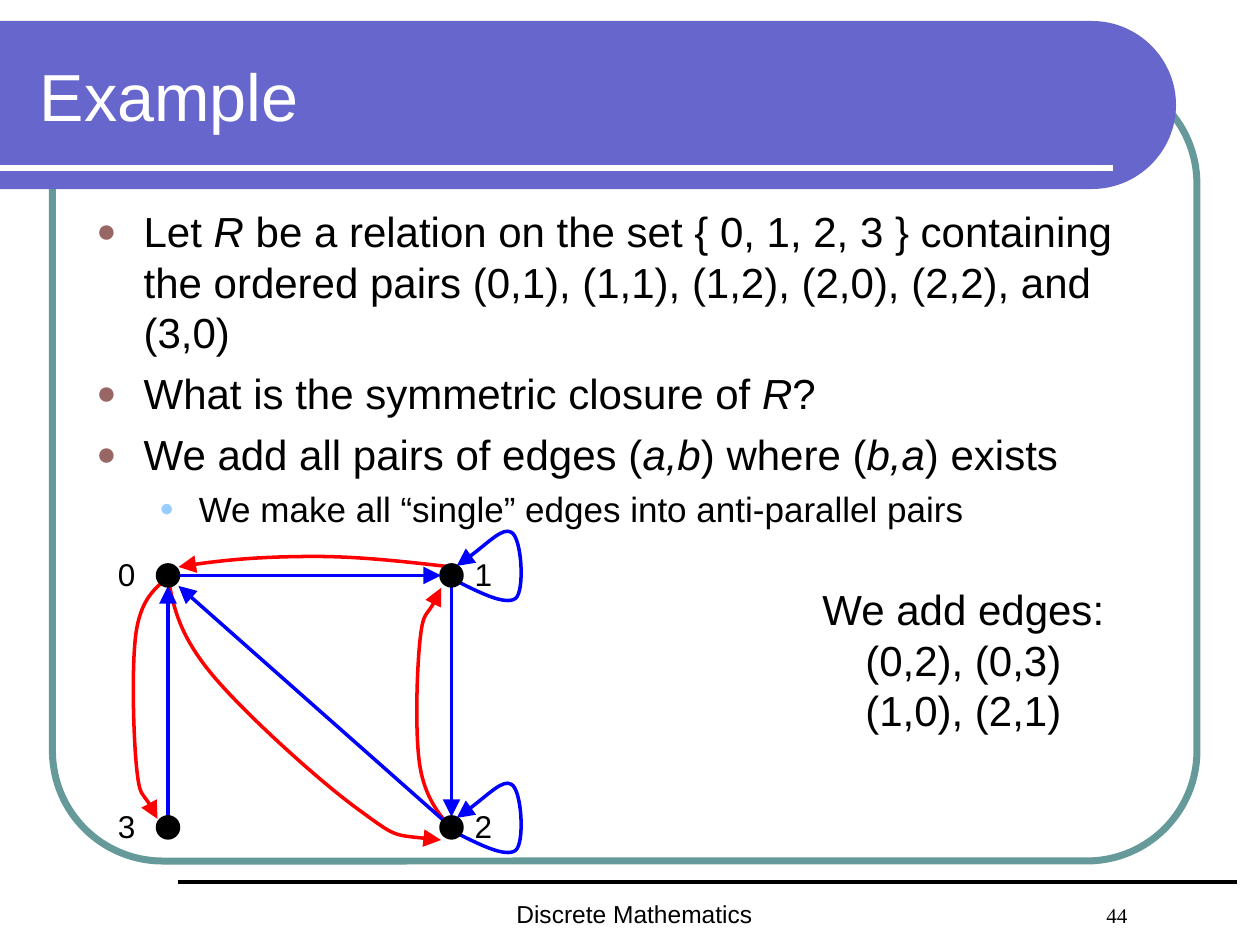
from lxml.etree import SubElement
from pptx import Presentation
from pptx.dml.color import RGBColor
from pptx.enum.shapes import MSO_CONNECTOR, MSO_SHAPE
from pptx.enum.text import MSO_ANCHOR, PP_ALIGN
from pptx.oxml.ns import qn
from pptx.util import Inches, Pt

presentation = Presentation()
presentation.slide_width = Inches(10)
presentation.slide_height = Inches(7.5)
slide = presentation.slides.add_slide(presentation.slide_layouts[6])
shapes = slide.shapes
unit = presentation.slide_width // 120
color = RGBColor.from_string


def write(box, paragraphs, size, ink="000000", align=PP_ALIGN.LEFT, wrap=True):
    shape = shapes.add_textbox(*[round(value * unit) for value in box])
    frame = shape.text_frame
    frame.word_wrap = wrap
    for index, runs in enumerate(paragraphs):
        paragraph = frame.paragraphs[0] if index == 0 else frame.add_paragraph()
        paragraph.alignment = align
        for position, text in enumerate(runs):
            run = paragraph.add_run()
            run.text = text
            if position % 2:
                run.font.italic = True
        paragraph.font.name = "Arial"
        paragraph.font.size = Pt(size)
        paragraph.font.color.rgb = color(ink)
    return frame


def trace(controls, corners=()):
    points = [(x * unit, y * unit) for x, y in [*controls, *corners]]
    builder = shapes.build_freeform(*points[0])
    builder.add_line_segments(points[1:], close=bool(corners))
    shape = builder.convert_to_shape()
    segments = list(shape._element.iter(qn("a:lnTo")))
    for first in range(0, len(controls) - 1, 3):
        curve = segments[first].makeelement(qn("a:cubicBezTo"))
        segments[first].addprevious(curve)
        for segment in segments[first:first + 3]:
            curve.append(segment[0])
            segment.getparent().remove(segment)
    return shape


border = shapes.add_shape(MSO_SHAPE.ROUNDED_RECTANGLE, 5 * unit, 7 * unit, 109 * unit, 75 * unit)
border.adjustments[0] = 0.14
border.fill.background()
outlines = [(border, "669999", 4, False)]

banner = trace([(104, 2), (108.4, 2), (112, 5.6), (112, 10), (112, 14.4), (108.4, 18), (104, 18)],
               [(0, 18), (0, 2)])
banner.shadow.inherit = False
banner.fill.solid()
banner.fill.fore_color.rgb = color("6666CC")
banner.line.fill.background()

title = write((2.6, 3, 105.2, 12), [["Example"]], 38, "FFFFFF")
title.vertical_anchor = MSO_ANCHOR.MIDDLE

body = write((8, 19, 104, 58), [
    ["Let ", "R", " be a relation on the set { 0, 1, 2, 3 } containing the ordered pairs "
     "(0,1), (1,1), (1,2), (2,0), (2,2), and (3,0)"],
    ["What is the symmetric closure of ", "R", "?"],
    ["We add all pairs of edges (", "a,b", ") where (", "b,a", ") exists"],
    ["We make all “single” edges into anti-parallel pairs"],
], 24)
for index, paragraph in enumerate(body.paragraphs):
    nested = index == 3
    if index:
        paragraph.space_before = Pt(5 if nested else 6)
    if nested:
        paragraph.level = 1
        paragraph.font.size = Pt(20)
    properties = paragraph._p.get_or_add_pPr()
    properties.set("marL", str(Pt(58.5 if nested else 27)))
    properties.set("indent", str(-Pt(22.5 if nested else 27)))
    bullet_color = properties.makeelement(qn("a:buClr"))
    SubElement(bullet_color, qn("a:srgbClr"), val="99CCFF" if nested else "996666")
    bullet_size = properties.makeelement(qn("a:buSzPct"), val="70000" if nested else "80000")
    bullet_font = properties.makeelement(qn("a:buFont"), typeface="Arial")
    bullet = properties.makeelement(qn("a:buChar"), char="●")
    for element in (bullet_color, bullet_size, bullet_font, bullet):
        properties.find(qn("a:defRPr")).addprevious(element)

left, right, top, bottom = 16, 43, 54.8, 78.8
loop = [(43, 55.1), (45.6, 56.4), (48.1, 57.7), (49.1, 57), (50, 56.3), (49.7, 51.2), (48.7, 50.7),
        (47.9, 50.2), (46, 52.2), (43.5, 53.9)]
curves = [
    ("FF0000", [(43, 54), (38.6, 53.5), (34.3, 53), (30, 53), (25.7, 53), (21, 53.3), (17, 54)]),
    ("FF0000", [(43, 79), (41.8, 77.5), (40.5, 76), (40, 73), (39.5, 70), (39.7, 63.8), (40, 61),
                (40.3, 58.2), (40.7, 59), (42, 56)]),
    ("FF0000", [(16, 55), (16.5, 57.7), (17, 60.3), (20, 64), (23, 67.7), (30.3, 74.3), (34, 77),
                (37.7, 79.7), (37.3, 79.5), (42, 80)]),
    ("FF0000", [(16, 55), (14.8, 56), (13.5, 57), (13, 60), (12.5, 63), (12.7, 70), (13, 73),
                (13.3, 76), (13.7, 75.3), (15, 78)]),
    ("0000FF", loop),
    ("0000FF", [(x, y + 24) for x, y in loop]),
]
for ink, controls in curves:
    edge = trace(controls)
    edge.fill.background()
    outlines.append((edge, ink, 2, True))

lines = [
    ((left, top, right - 1, top), "0000FF", 2, True),
    ((right, top, right, bottom - 1), "0000FF", 2, True),
    ((right, bottom, left + 1, top + 1), "0000FF", 2, True),
    ((left, bottom, left, top + 1), "0000FF", 2, True),
    ((0, 16, 106, 16), "FFFFFF", 3, False),
    ((17, 84, 117.8, 84), "000000", 2.25, False),
]
for ends, ink, width, arrow in lines:
    line = shapes.add_connector(MSO_CONNECTOR.STRAIGHT, *[round(value * unit) for value in ends])
    outlines.append((line, ink, width, arrow))

nodes = [("0", left, top, 10), ("1", right, top, 44), ("2", right, bottom, 44), ("3", left, bottom, 10)]
for name, x, y, label_left in nodes:
    dot = shapes.add_shape(MSO_SHAPE.OVAL, round((x - 1) * unit), round((y - 1) * unit), 2 * unit, 2 * unit)
    dot.fill.solid()
    dot.fill.fore_color.rgb = color("000000")
    outlines.append((dot, "000000", 2, False))
    label = write((label_left, y - 4, 4.1, 6.2), [[name]], 18, align=PP_ALIGN.CENTER, wrap=False)
    label.paragraphs[0].line_spacing = 1.4

for shape, ink, width, arrow in outlines:
    shape.line.color.rgb = color(ink)
    shape.line.width = Pt(width)
    properties = shape._element.spPr
    if arrow:
        SubElement(properties.find(qn("a:ln")), qn("a:tailEnd"), type="triangle", w="lg", len="lg")
    SubElement(properties, qn("a:effectLst"))

write((77.1, 55, 29.3, 15.6), [["We add edges:"], ["(0,2), (0,3)"], ["(1,0), (2,1)"]], 24,
      align=PP_ALIGN.CENTER, wrap=False)

footer = write((48, 85, 71, 4), [["Discrete Mathematics"]], 14).paragraphs[0]
tabs = footer._p.pPr.makeelement(qn("a:tabLst"))
SubElement(tabs, qn("a:tab"), pos=str(round(56.2 * unit)), algn="l")
footer._p.pPr.find(qn("a:defRPr")).addprevious(tabs)
number = footer.add_run()
number.text = "\t44"
number.font.name = "Times New Roman"
number.font.size = Pt(12)

presentation.save("out.pptx")
